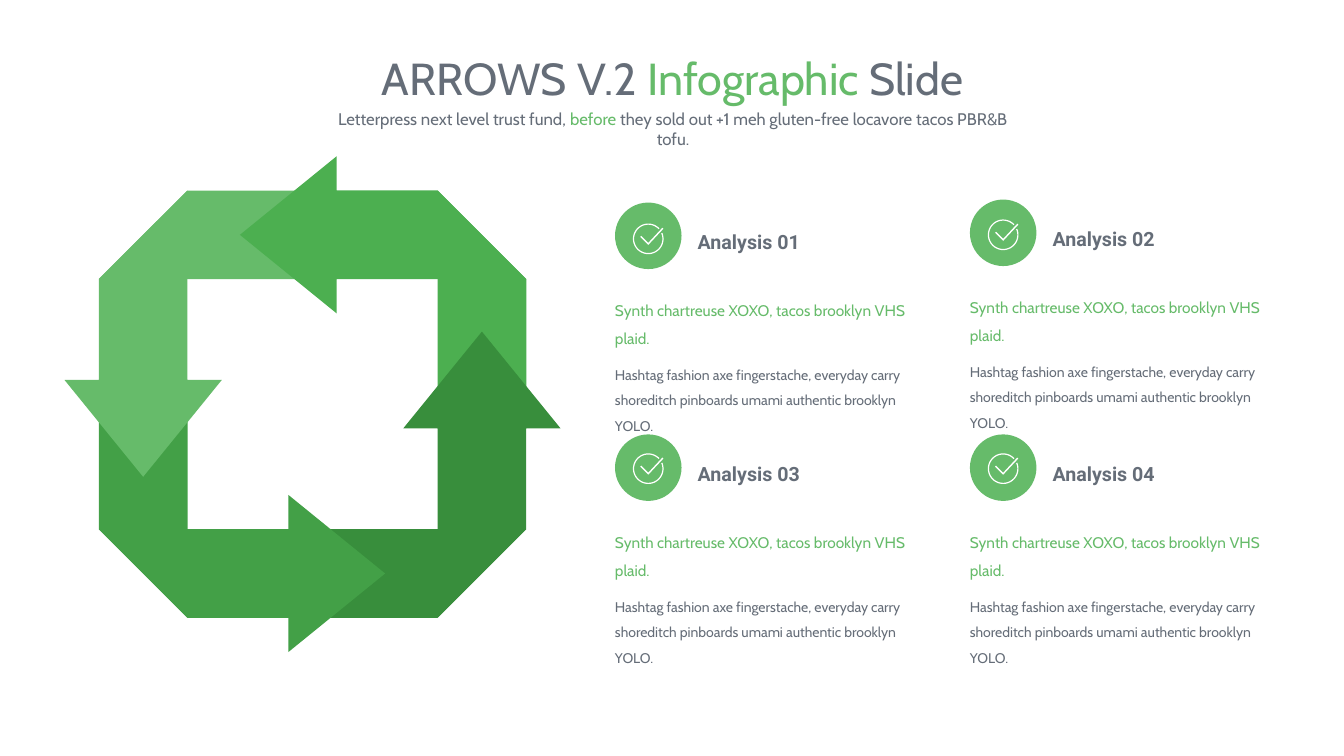
"""Build the recycling arrows infographic slide with four analysis panels."""
import math
from dataclasses import dataclass
from typing import Optional

import pptx
from pptx import util as u
from pptx.dml import color
from pptx.enum import shapes, text
from pptx.shapes import autoshape, group
from pptx.text import text as txt

EMU_PER_PX = 9144
Points = list[tuple[float, float]]


@dataclass(frozen=True)
class Theme:
    """Colours, fonts and type sizes of the slide."""
    slate: str = "656D78"
    accent: str = "66BB6A"
    white: str = "FFFFFF"
    arrows: tuple[str, ...] = ("4CAF50", "388E3C", "43A047", "66BB6A")
    body_font: str = "Cabin"
    heading_font: str = "Roboto"
    title: float = 32
    subtitle: float = 12
    heading: float = 14
    lead: float = 11
    detail: float = 10
    gap: float = 7.5


@dataclass(frozen=True)
class Span:
    """A stretch of text in one style."""
    words: str
    size: float
    ink: str
    font: str
    bold: Optional[bool] = None


@dataclass(frozen=True)
class Panel:
    """An analysis block, placed by its top left corner."""
    heading: str
    left: int
    top: int
    icon_drop: int


THEME = Theme()
RING_CENTRE = (310, 401)
TAIL: Points = [(124, -212), (124, 24), (212, 24), (212, -124)]
HEAD: Points = [(212, -124), (124, -212), (24, -212), (24, -246),
                (-72, -168), (24, -90), (24, -124)]
TICK: Points = [(0, 4), (-7, -3), (-8, -2), (0, 6), (15, -10), (14, -11)]
LEAD = "Synth chartreuse XOXO, tacos brooklyn VHS plaid."
DETAIL = ("Hashtag fashion axe fingerstache, everyday carry shoreditch "
          "pinboards umami authentic brooklyn YOLO.")
PANELS = [
    Panel("Analysis 01", 610, 201, 36),
    Panel("Analysis 02", 962, 198, 35),
    Panel("Analysis 03", 610, 431, 34),
    Panel("Analysis 04", 962, 431, 34),
]


def px(length: float) -> u.Emu:
    """Turn px into EMU."""
    return u.Emu(round(length * EMU_PER_PX))


def paint(shape: autoshape.Shape, ink: str) -> None:
    """Fill a shape flat, with no line or shadow."""
    shape.fill.solid()
    shape.fill.fore_color.rgb = color.RGBColor.from_string(ink)
    shape.line.fill.background()
    shape.shadow.inherit = False


def write(para: txt._Paragraph, spans: list[Span]) -> None:
    """Add styled runs to a paragraph."""
    for span in spans:
        run = para.add_run()
        run.text = span.words
        run.font.size = u.Pt(span.size)
        run.font.name = span.font
        run.font.bold = span.bold
        run.font.color.rgb = color.RGBColor.from_string(span.ink)


def place(box: autoshape.Shape, left: int, top: int, width: int, height: int) -> None:
    """Move and size a box."""
    box.left, box.top, box.width, box.height = map(px, (left, top, width, height))


def write_banner(box: autoshape.Shape, spans: list[Span]) -> None:
    """Fill a centred, growing text box at the top of the slide."""
    frame = box.text_frame
    frame.word_wrap = True
    frame.auto_size = text.MSO_AUTO_SIZE.SHAPE_TO_FIT_TEXT
    frame.vertical_anchor = text.MSO_ANCHOR.TOP
    frame.paragraphs[0].alignment = text.PP_ALIGN.CENTER
    write(frame.paragraphs[0], spans)


def draw_outline(parent: group.GroupShape, outlines: list[Points],
                 centre: tuple[int, int], ink: str) -> None:
    """Draw closed outlines, given around a centre, as one shape."""
    paths = [[(px(centre[0] + x), px(centre[1] + y)) for x, y in outline]
             for outline in outlines]
    builder = parent.shapes.build_freeform(*paths[0][0])
    builder.add_line_segments(paths[0][1:])
    for points in paths[1:]:
        builder.move_to(*points[0])
        builder.add_line_segments(points[1:])
    paint(builder.convert_to_shape(), ink)


def quarter_turn(points: Points, turns: int) -> Points:
    """Rotate points clockwise by quarter turns."""
    for _ in range(turns):
        points = [(-y, x) for x, y in points]
    return points


def draw_ring(parent: group.GroupShape) -> None:
    """Draw four arrows, each lying over the tail of the next."""
    layers = [(TAIL, 0)]
    layers += [(part, turn) for turn in (1, 2, 3) for part in (TAIL, HEAD)]
    layers.append((HEAD, 0))
    for part, turn in layers:
        draw_outline(parent, [quarter_turn(part, turn)], RING_CENTRE, THEME.arrows[turn])


def arc(radius: float) -> Points:
    """Trace the open circle around the tick."""
    angles = [math.radians(degrees) for degrees in range(-23, 318, 5)]
    return [(radius * math.cos(a), radius * math.sin(a)) for a in angles]


def add_copy(parent: group.GroupShape, left: int, top: int, width: int,
             height: int) -> txt.TextFrame:
    """Add a wrapping text box without insets."""
    frame = parent.shapes.add_textbox(*map(px, (left, top, width, height))).text_frame
    frame.word_wrap = True
    frame.margin_left = frame.margin_right = frame.margin_top = frame.margin_bottom = 0
    return frame


def draw_panel(parent: group.GroupShape, panel: Panel) -> None:
    """Draw the badge, heading and copy of one panel."""
    badge = parent.shapes.add_shape(shapes.MSO_SHAPE.ROUNDED_RECTANGLE,
                                    *map(px, (panel.left, panel.top, 66, 66)))
    badge.adjustments[0] = 0.5
    paint(badge, THEME.accent)

    heading = add_copy(parent, panel.left + 82, panel.top + 21, 193, 28)
    heading.vertical_anchor = text.MSO_ANCHOR.MIDDLE
    heading.auto_size = text.MSO_AUTO_SIZE.SHAPE_TO_FIT_TEXT
    heading.paragraphs[0].line_spacing = 1.3
    write(heading.paragraphs[0],
          [Span(panel.heading, THEME.heading, THEME.slate, THEME.heading_font, True)])

    body = add_copy(parent, panel.left, panel.top + 89, 310, 87)
    lead, detail = body.paragraphs[0], body.add_paragraph()
    lead.line_spacing = detail.line_spacing = 1.5
    detail.space_before = u.Pt(THEME.gap)
    write(lead, [Span(LEAD, THEME.lead, THEME.accent, THEME.body_font)])
    write(detail, [Span(DETAIL, THEME.detail, THEME.slate, THEME.body_font)])

    draw_outline(parent, [arc(15.2) + arc(14)[::-1], TICK],
                 (panel.left + 33, panel.top + panel.icon_drop), THEME.white)


def main() -> None:
    """Build and save the deck."""
    deck = pptx.Presentation()
    deck.slide_width, deck.slide_height = px(1333), px(750)
    page = deck.slides.add_slide(deck.slide_layouts.get_by_name("Title Only"))

    title = page.shapes.title
    place(title, 254, 45, 826, 64)
    write_banner(title, [
        Span("ARROWS V.2 ", THEME.title, THEME.slate, THEME.body_font),
        Span("Infographic ", THEME.title, THEME.accent, THEME.body_font),
        Span("Slide", THEME.title, THEME.slate, THEME.body_font),
    ])
    subtitle = page.shapes.add_textbox(*map(px, (320, 103, 695, 30)))
    write_banner(subtitle, [
        Span("Letterpress next level trust fund, ", THEME.subtitle, THEME.slate,
             THEME.body_font),
        Span("before", THEME.subtitle, THEME.accent, THEME.body_font),
        Span(" they sold out +1 meh gluten-free locavore tacos PBR&B tofu.",
             THEME.subtitle, THEME.slate, THEME.body_font),
    ])
    draw_ring(page.shapes.add_group_shape())
    for panel in PANELS:
        draw_panel(page.shapes.add_group_shape(), panel)
    deck.save("out.pptx")


if __name__ == "__main__":
    main()
